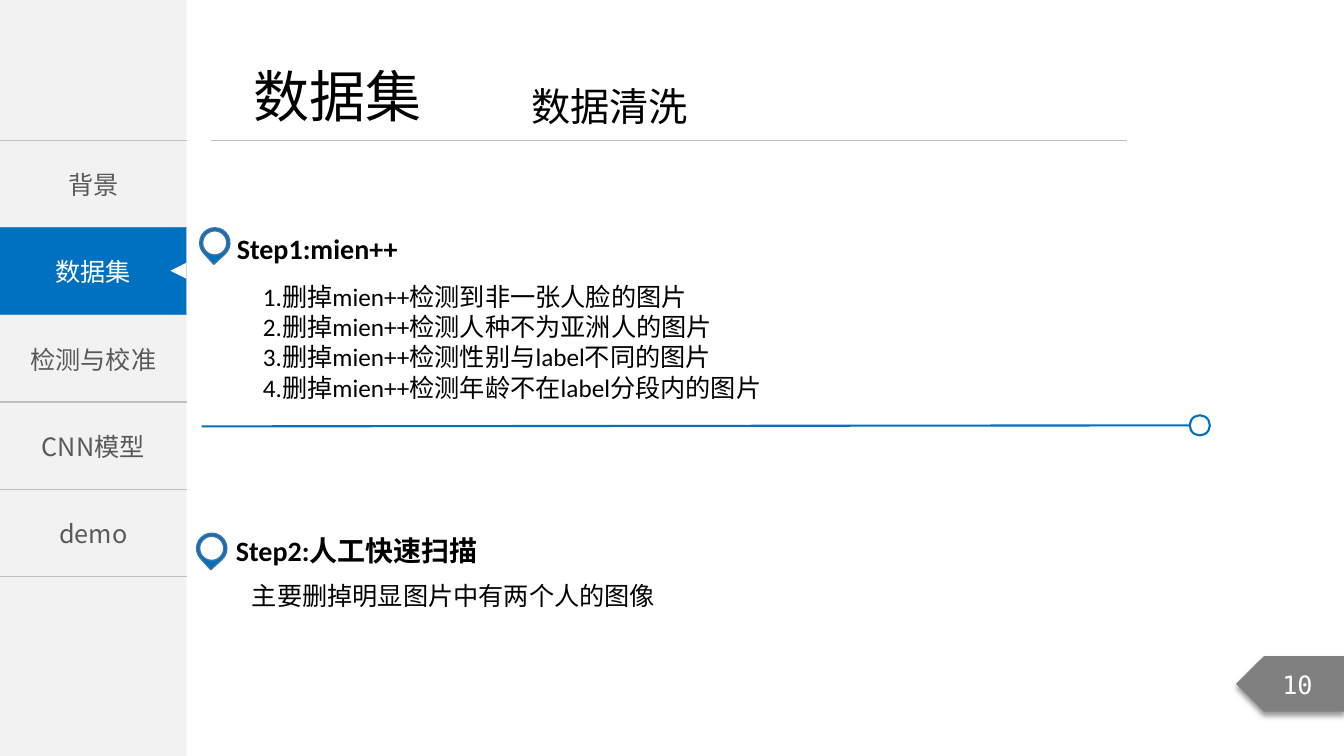
from lxml import etree
from pptx import Presentation
from pptx.dml.color import RGBColor
from pptx.enum.shapes import MSO_CONNECTOR, MSO_SHAPE
from pptx.enum.text import MSO_ANCHOR, MSO_AUTO_SIZE, PP_ALIGN
from pptx.oxml import parse_xml
from pptx.oxml.ns import nsdecls, qn
from pptx.util import Inches, Pt

RECT, OVAL = MSO_SHAPE.RECTANGLE, MSO_SHAPE.OVAL
TRIANGLE, TEARDROP = MSO_SHAPE.ISOSCELES_TRIANGLE, MSO_SHAPE.TEAR
PAGE_TAG = MSO_SHAPE.PENTAGON
STRAIGHT = MSO_CONNECTOR.STRAIGHT
CENTER, LEFT = PP_ALIGN.CENTER, PP_ALIGN.LEFT
MIDDLE = MSO_ANCHOR.MIDDLE
FIT_SHAPE = MSO_AUTO_SIZE.SHAPE_TO_FIT_TEXT

COLORS = {
    "sidebar": "F2F2F2", "rule": "BFBFBF", "menu": "595959",
    "accent": "0070C0", "pin_edge": "43739E", "page": "808080",
    "white": "FFFFFF", "black": "000000",
}
CJK, LATIN, MONO = "Noto Sans CJK SC", "Calibri", "DejaVu Sans Mono"

SIDEBAR_WIDTH = 1.85
MENU_TOP, MENU_HEIGHT = 1.39, 4.33
ACTIVE = "数据集"
MENU = ["背景", ACTIVE, "检测与校准", "CNN模型", "demo"]
STEP1_RULES = [
    "1.删掉mien++检测到非一张人脸的图片",
    "2.删掉mien++检测人种不为亚洲人的图片",
    "3.删掉mien++检测性别与label不同的图片",
    "4.删掉mien++检测年龄不在label分段内的图片",
]


def rgb(name):
    return RGBColor.from_string(COLORS[name])


def write(frame, *lines, size=18, font=LATIN, color="black", bold=False, align=LEFT):
    for index, line in enumerate(lines):
        paragraph = frame.paragraphs[0] if index == 0 else frame.add_paragraph()
        paragraph.alignment = align
        run = paragraph.add_run()
        run.text = line
        run.font.size = Pt(size)
        run.font.name = font
        run.font.bold = bold
        run.font.color.rgb = rgb(color)
        east_asian = etree.SubElement(run.font._element, qn("a:ea"))
        east_asian.set("typeface", CJK)


def add_text(slide, box, *lines, wrap=True, **style):
    frame = slide.shapes.add_textbox(*map(Inches, box)).text_frame
    frame.word_wrap = wrap
    frame.auto_size = FIT_SHAPE
    write(frame, *lines, **style)


def add_shape(parent, kind, box, fill=None, line=None, width=1, rotation=0):
    shape = parent.shapes.add_shape(kind, *map(Inches, box))
    shape.shadow.inherit = False
    shape.rotation = rotation
    if fill:
        shape.fill.solid()
        shape.fill.fore_color.rgb = rgb(fill)
    else:
        shape.fill.background()
    if line:
        shape.line.color.rgb = rgb(line)
        shape.line.width = Pt(width)
    else:
        shape.line.fill.background()
    return shape


def add_line(slide, start, end, color, width):
    line = slide.shapes.add_connector(STRAIGHT, *map(Inches, start + end))
    line.line.color.rgb = rgb(color)
    line.line.width = Pt(width)
    etree.SubElement(line._element.spPr, qn("a:effectLst"))


def set_borders(cell):
    """Rule the cell above and below, and leave its sides open."""
    rule = f'<a:solidFill><a:srgbClr val="{COLORS["rule"]}"/></a:solidFill>'
    sides = {"lnL": "<a:noFill/>", "lnR": "<a:noFill/>", "lnT": rule, "lnB": rule}
    properties = cell._tc.get_or_add_tcPr()
    for index, (side, paint) in enumerate(sides.items()):
        border = f'<a:{side} {nsdecls("a")} w="{Pt(1)}">{paint}</a:{side}>'
        properties.insert(index, parse_xml(border))


def add_menu(slide):
    add_shape(slide, RECT, (0, 0, SIDEBAR_WIDTH, 7.5), fill="sidebar")
    box = (0, MENU_TOP, SIDEBAR_WIDTH, MENU_HEIGHT)
    table = slide.shapes.add_table(len(MENU), 1, *map(Inches, box)).table
    table.first_row = table.horz_banding = False
    for cell, label in zip(table.iter_cells(), MENU):
        cell.fill.background()
        cell.vertical_anchor = MIDDLE
        set_borders(cell)
        if label != ACTIVE:
            write(cell.text_frame, label, font=CJK, color="menu", align=CENTER)

    row = MENU_HEIGHT / len(MENU)
    top = MENU_TOP + MENU.index(ACTIVE) * row
    tab = add_shape(slide, RECT, (0, top, SIDEBAR_WIDTH, row), fill="accent")
    tab.text_frame.vertical_anchor = MIDDLE
    write(tab.text_frame, ACTIVE, font=CJK, color="white", align=CENTER)
    add_shape(slide, TRIANGLE, (SIDEBAR_WIDTH - 0.16, top + 0.35, 0.16, 0.16),
              fill="white", rotation=270)


def add_page_number(slide, number):
    tag = add_shape(slide, PAGE_TAG, (12.26, 6.51, 1.08, 0.55), fill="page")
    tag._element.spPr.find(qn("a:xfrm")).set("flipH", "1")
    effects = tag._element.spPr.find(qn("a:effectLst"))
    effects.append(parse_xml(
        f'<a:outerShdw {nsdecls("a")} blurRad="{Pt(4)}" dist="{Pt(3)}" dir="5400000">'
        f'<a:srgbClr val="{COLORS["black"]}"><a:alpha val="40000"/></a:srgbClr>'
        '</a:outerShdw>'))
    tag.text_frame.vertical_anchor = MIDDLE
    write(tag.text_frame, number, font=MONO, color="white", align=CENTER)


def add_pin(slide, left, top):
    pin = slide.shapes.add_group_shape()
    add_shape(pin, TEARDROP, (left, top, 0.3, 0.3), fill="accent",
              line="pin_edge", rotation=137.5)
    add_shape(pin, OVAL, (left + 0.03, top + 0.03, 0.24, 0.24), fill="white",
              line="pin_edge")


def main():
    deck = Presentation()
    deck.slide_width, deck.slide_height = Inches(13.33), Inches(7.5)
    slide = deck.slides.add_slide(deck.slide_layouts[6])

    add_menu(slide)
    add_line(slide, (2.09, 1.39), (11.18, 1.39), "rule", 0.5)
    add_text(slide, (2.42, 0.56, 1.88, 0.77), ACTIVE, wrap=False, size=40, font=CJK)
    add_text(slide, (5.17, 0.77, 1.77, 0.57), "数据清洗", wrap=False, size=28)
    add_page_number(slide, "10")

    add_line(slide, (2, 4.23), (11.8, 4.22), "accent", 1.5)
    add_shape(slide, OVAL, (11.8, 4.12, 0.2, 0.2), line="accent", width=1.5)

    add_text(slide, (2.25, 2.25, 1.88, 0.44), "Step1:mien++", size=20, bold=True)
    add_pin(slide, 1.98, 2.26)
    add_text(slide, (2.51, 2.74, 5.53, 1.31), *STEP1_RULES)

    add_text(slide, (2.24, 5.24, 2.92, 0.44), "Step2:人工快速扫描", size=20, bold=True)
    add_pin(slide, 1.95, 5.29)
    add_text(slide, (2.4, 5.71, 5.53, 0.4), "主要删掉明显图片中有两个人的图像")

    deck.save("out.pptx")


if __name__ == "__main__":
    main()
